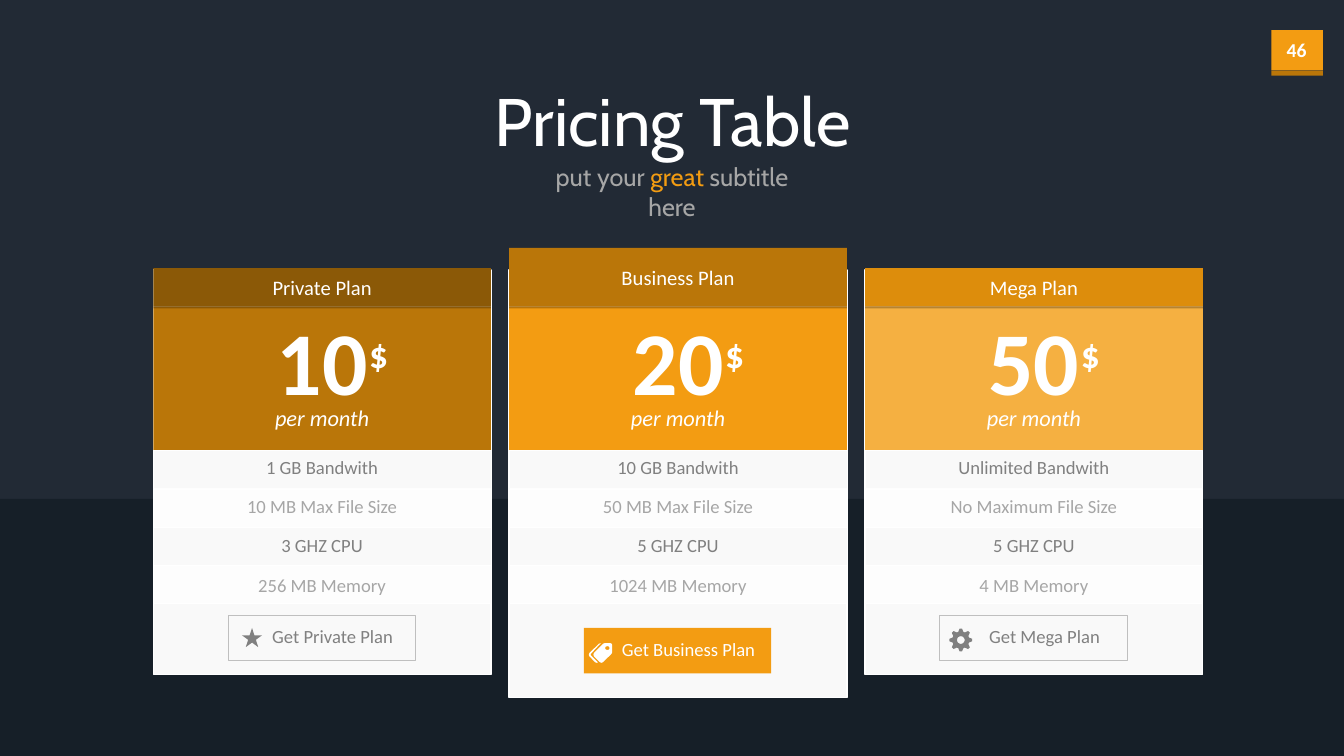
from math import cos, radians, sin

from lxml.etree import SubElement
from pptx import Presentation
from pptx.dml.color import RGBColor
from pptx.enum.shapes import MSO_SHAPE as Preset
from pptx.enum.text import MSO_ANCHOR as Anchor, MSO_AUTO_SIZE as AutoSize, PP_ALIGN as Align
from pptx.oxml.ns import qn
from pptx.util import Inches, Pt

# Content: texts carry the width of their box in inches
COLORS = {
    "night": "222A35", "floor": "161F28", "orange": "F39C12", "amber": "BA7609",
    "brown": "8B5907", "honey": "DD8D0C", "sand": "F5B041", "white": "FFFFFF",
    "row": "F9F9F9", "row_alt": "FDFDFD", "gray": "808080", "light_gray": "A6A6A6",
    "border": "BFBFBF", "black": "000000",
}
PAGE_NUMBER = "46"
TITLE = "Pricing Table"
SUBTITLE = [("put your ", "light_gray"), ("great", "orange"), (" subtitle here", "light_gray")]
PLANS = [
    dict(name=("Private Plan", 1.19), price="10", header="brown", body="amber",
         features=[("1 GB Bandwith", 1.32), ("10 MB Max File Size", 1.7),
                   ("3 GHZ CPU", 1.02), ("256 MB Memory", 1.48)],
         button=("Get Private Plan", 1.41), icon="star", featured=False),
    dict(name=("Business Plan", 1.33), price="20", header="amber", body="orange",
         features=[("10 GB Bandwith", 1.42), ("50 MB Max File Size", 1.7),
                   ("5 GHZ CPU", 1.02), ("1024 MB Memory", 1.58)],
         button=("Get Business Plan", 1.54), icon="tags", featured=True),
    dict(name=("Mega Plan", 1.08), price="50", header="honey", body="sand",
         features=[("Unlimited Bandwith", 1.71), ("No Maximum File Size", 1.87),
                   ("5 GHZ CPU", 1.02), ("4 MB Memory", 1.29)],
         button=("Get Mega Plan", 1.31), icon="gear", featured=False),
]

# Grid, in inches
SLIDE_W, SLIDE_H = 13.33, 7.5
CARD_LEFT, CARD_TOP, CARD_W, CARD_PITCH = 1.52, 2.68, 3.35, 3.53
PRICE_TOP, ROWS_TOP, ROW_H, ROW_TEXT_PITCH = 3.04, 4.47, 0.38, 0.39
BUTTON_W, BUTTON_H = 1.86, 0.45

# Tag outlines, in thousandths of an inch from the icon's corner
TAGS = [
    [(210, 0), (160, 0), (145, 5), (130, 18), (50, 100), (46, 115), (50, 130),
     (110, 190), (125, 196), (140, 190), (220, 112), (230, 98), (232, 75),
     (232, 20), (225, 5)],
    [(185, 70), (168, 63), (160, 50), (168, 36), (185, 30), (201, 36),
     (206, 50), (201, 63)],
    [(20, 122), (92, 192), (78, 196), (62, 190), (4, 130), (0, 115), (5, 100),
     (88, 18), (102, 6), (120, 0), (22, 106), (18, 114)],
]

prs = Presentation()
prs.slide_width, prs.slide_height = Inches(SLIDE_W), Inches(SLIDE_H)
slide = prs.slides.add_slide(prs.slide_layouts[5])
shapes = slide.shapes


def rgb(color):
    return RGBColor.from_string(COLORS[color])


def paint(shape, fill=None, line=None, width=1):
    shape.shadow.inherit = False
    if fill:
        shape.fill.solid()
        shape.fill.fore_color.rgb = rgb(fill)
    else:
        shape.fill.background()
    if line:
        shape.line.color.rgb = rgb(line)
        shape.line.width = Pt(width)
    else:
        shape.line.fill.background()
    return shape


def box(left, top, width, height, *style, preset=Preset.RECTANGLE):
    shape = shapes.add_shape(preset, *map(Inches, (left, top, width, height)))
    return paint(shape, *style)


def style_text(paragraph, size, color="white", font="Calibri", bold=False, italic=False):
    paragraph.alignment = Align.CENTER
    paragraph.font.name, paragraph.font.size = font, Pt(size)
    paragraph.font.bold, paragraph.font.italic = bold, italic
    paragraph.font.color.rgb = rgb(color)


def label(text, center, top, width, height, size, **style):
    frame = shapes.add_textbox(*map(Inches, (center - width / 2, top, width, height))).text_frame
    frame.word_wrap = False
    frame.text = text
    style_text(frame.paragraphs[0], size, **style)


def outline(contours, left, top, color):
    x0, y0 = left * 1000, top * 1000
    builder = None
    for contour in contours:
        points = [(round(x0 + x), round(y0 + y)) for x, y in contour]
        if builder is None:
            builder = shapes.build_freeform(*points[0], scale=914.4)
        else:
            builder.move_to(*points[0])
        builder.add_line_segments(points[1:], close=True)
    paint(builder.convert_to_shape(), color)


def polar(radius, angle):
    return radius * sin(radians(angle)), -radius * cos(radians(angle))


def gear_contours():
    tooth = [(85, -17), (114, -6), (114, 6), (85, 17)]
    teeth = [polar(r, turn + a) for turn in range(0, 360, 45) for r, a in tooth]
    hole = [polar(38, a) for a in range(360, 0, -15)]
    return [teeth, hole]


def add_icon(kind, left, top, color):
    if kind == "star":
        box(left + 0.14, top + 0.13, 0.2, 0.19, color, preset=Preset.STAR_5_POINT)
    elif kind == "tags":
        outline(TAGS, left + 0.05, top + 0.15, color)
    else:
        outline(gear_contours(), left + 0.21, top + 0.25, color)


def add_plan(plan, left):
    center = left + CARD_W / 2
    featured = plan["featured"]

    # Card, price panel and feature rows
    box(left, CARD_TOP, CARD_W, 4.24 if featured else 4.01, "row", "white", 1)
    box(left, PRICE_TOP, CARD_W, ROWS_TOP - PRICE_TOP, plan["body"])
    for i in range(len(plan["features"])):
        box(left, ROWS_TOP + i * ROW_H, CARD_W, ROW_H,
            "row_alt" if i % 2 else "row", "white", 0.5)

    # Header over its translucent shade
    shade = box(left, CARD_TOP, CARD_W, ROW_H, "black")
    shade_color = shade.fill._xPr.find(qn("a:solidFill"))[0]
    SubElement(shade_color, qn("a:alpha"), val="25000")
    header_h = 0.58 if featured else ROW_H
    header_top = PRICE_TOP - header_h
    box(left, header_top, CARD_W, header_h, plan["header"])
    name, name_w = plan["name"]
    label(name, center, header_top + (header_h - 0.35) / 2, name_w, 0.35, 14.7)

    # Price
    label(plan["price"], center, 2.99, 1.11, 1.18, 64, bold=True)
    label("$", left + 2.235, 3.24, 0.39, 0.55, 26.7, bold=True)
    label("per month", center, 3.96, 1.15, 0.37, 16, italic=True)

    # Feature texts
    for i, (feature, width) in enumerate(plan["features"]):
        label(feature, center, ROWS_TOP + i * ROW_TEXT_PITCH, width, 0.33, 13.3,
              color="light_gray" if i % 2 else "gray")

    # Button
    button_left, button_top = left + 0.74, 6.23 if featured else 6.1
    button_style = ("orange",) if featured else (None, "border", 0.25)
    ink = "white" if featured else "gray"
    box(button_left, button_top, BUTTON_W, BUTTON_H, *button_style)
    action, action_w = plan["button"]
    label(action, button_left + 1.04, button_top + 0.05, action_w, 0.33, 13.3, color=ink)
    add_icon(plan["icon"], button_left, button_top, ink)


# Background and page number
slide.background.fill.solid()
slide.background.fill.fore_color.rgb = rgb("night")
box(12.61, 0.3, 0.51, 0.4, "orange")
box(12.61, 0.7, 0.51, 0.05, "amber")
label(PAGE_NUMBER, 12.86, 0.33, 0.44, 0.34, 14, bold=True)

# Title and subtitle
title = shapes.title
title.left, title.top, title.width, title.height = map(Inches, (4.79, 0.74, 3.76, 0.91))
title.text_frame.text = TITLE
title.text_frame.word_wrap = False
title.text_frame.auto_size = AutoSize.NONE
title.text_frame.vertical_anchor = Anchor.TOP
style_text(title.text_frame.paragraphs[0], 48, font="Cabin")

subtitle = shapes.add_textbox(*map(Inches, (5.18, 1.55, 2.97, 0.4))).text_frame
subtitle.word_wrap = True
style_text(subtitle.paragraphs[0], 18, font="Cabin")
for words, color in SUBTITLE:
    run = subtitle.paragraphs[0].add_run()
    run.text = words
    run.font.color.rgb = rgb(color)

# Floor band and plan cards
box(0, 0.66 * SLIDE_H, SLIDE_W, 0.34 * SLIDE_H, "floor")
for column, plan in enumerate(PLANS):
    add_plan(plan, CARD_LEFT + column * CARD_PITCH)

prs.save("out.pptx")
